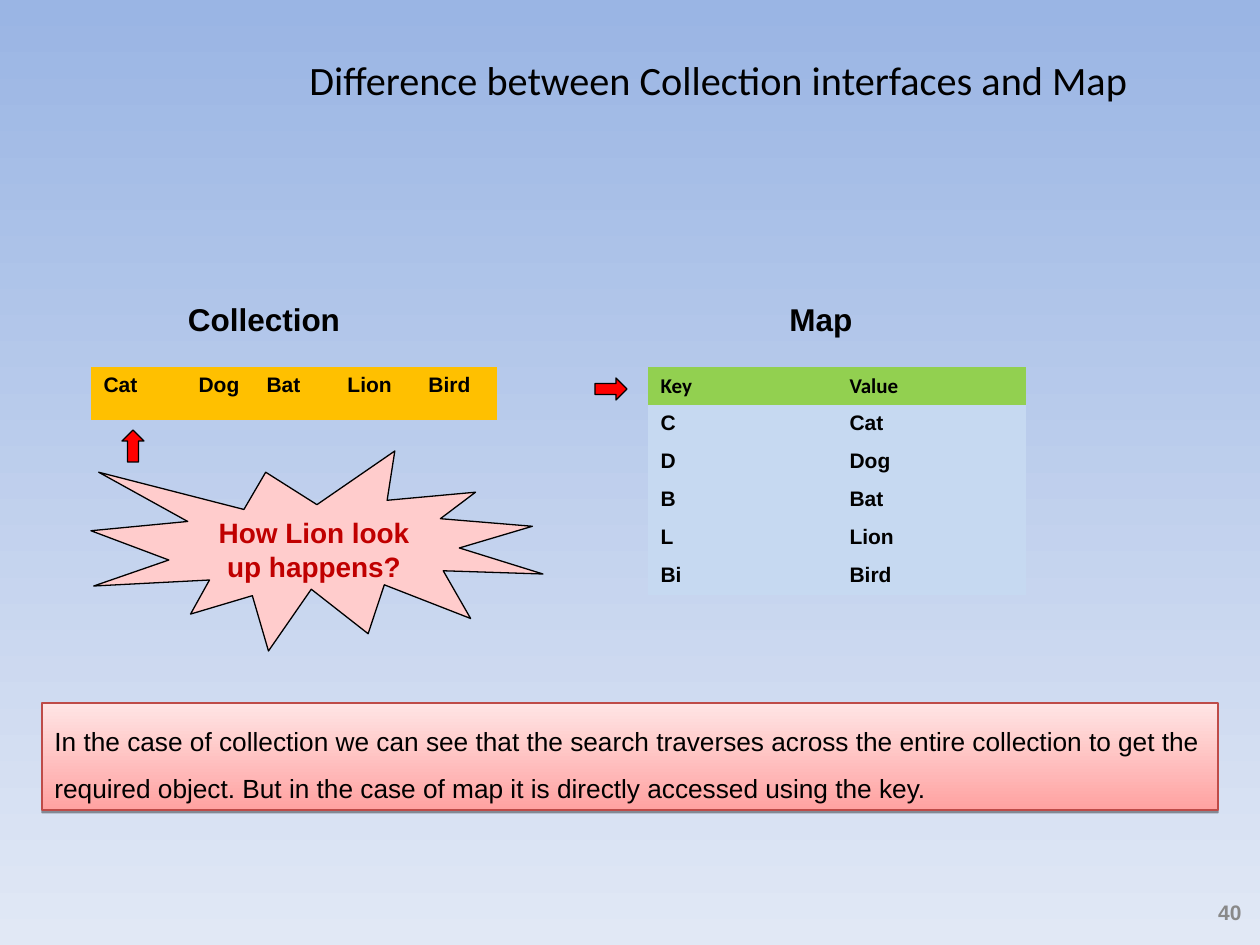
from dataclasses import dataclass

from lxml import etree
from pptx import Presentation
from pptx import util as u
from pptx.dml.color import RGBColor
from pptx.enum import shapes, text
from pptx.oxml import ns

KIND = shapes.MSO_SHAPE
ALIGN = text.PP_ALIGN
ANCHOR = text.MSO_ANCHOR
PX_PER_INCH = 126
PLAIN_TABLE = "{2D5ABB26-0587-4C30-8999-92F81FD0307C}"


def px(length):
    return u.Emu(round(length * u.Inches(1) / PX_PER_INCH))


def rgb(code):
    return RGBColor.from_string(code)


@dataclass(frozen=True)
class Theme:
    body_font: str = "Arial"
    title_font: str = "Calibri"
    ink: str = "000000"
    muted: str = "898989"
    question: str = "C00000"
    burst: str = "FFCCCC"
    arrow: str = "FF0000"
    collection: str = "FFC000"
    map_head: str = "92D050"
    map_body: str = "C6D9F1"
    note_line: str = "BE4B48"
    sky: tuple = ("9AB5E4", "E1E8F5")
    note: tuple = ("FFA2A1", "FFE5E5")
    title_size: int = 23
    heading_size: int = 18
    question_size: int = 16
    note_size: int = 15
    small_size: int = 12
    line_width: float = 0.75


class SlideBuilder:
    def __init__(self, slide, theme):
        self.slide = slide
        self.theme = theme

    def gradient(self, fill, colours, angle):
        """Blend two colours; the angle runs counter-clockwise."""
        fill.gradient()
        fill.gradient_angle = angle
        for stop, colour in zip(fill.gradient_stops, colours):
            stop.color.rgb = rgb(colour)

    def set_text(self, frame, words, size, colour=None, font=None, bold=True,
                 align=ALIGN.LEFT, anchor=ANCHOR.TOP, spacing=None):
        frame.word_wrap = True
        frame.vertical_anchor = anchor
        paragraph = frame.paragraphs[0]
        paragraph.alignment = align
        if spacing:
            paragraph.line_spacing = spacing
        run = paragraph.add_run()
        run.text = words
        run.font.size = u.Pt(size)
        run.font.name = font or self.theme.body_font
        run.font.bold = bold
        run.font.color.rgb = rgb(colour or self.theme.ink)

    def title(self, words, box):
        heading = self.slide.shapes.title
        heading.left, heading.top, heading.width, heading.height = map(px, box)
        self.set_text(heading.text_frame, words, self.theme.title_size,
                      font=self.theme.title_font, bold=False,
                      align=ALIGN.CENTER, anchor=ANCHOR.MIDDLE)

    def label(self, words, box, size, **style):
        frame = self.slide.shapes.add_textbox(*map(px, box)).text_frame
        self.set_text(frame, words, size, **style)

    def shape(self, kind, box, fill=None, line=None):
        outline = self.slide.shapes.add_shape(kind, *map(px, box))
        outline.shadow.inherit = False
        if fill:
            outline.fill.solid()
            outline.fill.fore_color.rgb = rgb(fill)
        outline.line.color.rgb = rgb(line or self.theme.ink)
        outline.line.width = u.Pt(self.theme.line_width)
        return outline

    def note(self, words, box):
        panel = self.shape(KIND.RECTANGLE, box, line=self.theme.note_line)
        self.gradient(panel.fill, self.theme.note, 90)
        effects = panel.element.spPr.find(ns.qn("a:effectLst"))
        shadow = etree.SubElement(effects, ns.qn("a:outerShdw"), blurRad="0",
                                  dist="20000", dir="5400000", rotWithShape="0")
        colour = etree.SubElement(shadow, ns.qn("a:srgbClr"), val=self.theme.ink)
        etree.SubElement(colour, ns.qn("a:alpha"), val="38000")
        self.set_text(panel.text_frame, words, self.theme.note_size,
                      bold=False, spacing=1.5)

    def table(self, rows, left, top, widths, row_height, fill,
              head_fill=None, head_font=None):
        frame = self.slide.shapes.add_table(
            len(rows), len(widths), px(left), px(top),
            px(sum(widths)), px(row_height * len(rows)))
        grid = frame.table
        grid.first_row = grid.horz_banding = False
        next(frame.element.iter(ns.qn("a:tableStyleId"))).text = PLAIN_TABLE
        for column, width in zip(grid.columns, widths):
            column.width = px(width)
        for r, row in enumerate(rows):
            grid.rows[r].height = px(row_height)
            is_head = r == 0 and head_fill
            for c, words in enumerate(row):
                cell = grid.cell(r, c)
                cell.fill.solid()
                cell.fill.fore_color.rgb = rgb(head_fill if is_head else fill)
                self.set_text(cell.text_frame, words, self.theme.small_size,
                              font=head_font if is_head else None)


def main():
    theme = Theme()
    deck = Presentation()
    deck.slide_width, deck.slide_height = px(1260), px(945)
    page = SlideBuilder(deck.slides.add_slide(deck.slide_layouts[5]), theme)
    page.gradient(page.slide.background.fill, theme.sky, 270)

    page.title("Difference between Collection interfaces and Map",
               (199, 0, 1040, 158))
    page.label("40", (1192, 890, 62, 44), theme.small_size, colour=theme.muted,
               align=ALIGN.RIGHT, anchor=ANCHOR.MIDDLE)
    for heading, left in (("Collection", 143), ("Map", 700)):
        page.label(heading, (left, 294, 242, 50), theme.heading_size,
                   align=ALIGN.CENTER)

    animals = {"C": "Cat", "D": "Dog", "B": "Bat", "L": "Lion", "Bi": "Bird"}
    page.table([list(animals.values())], 91, 367, [95, 68, 81, 81, 81], 53,
               theme.collection)
    page.table([("Key", "Value"), *animals.items()], 648, 367, [189, 189], 38,
               theme.map_body, theme.map_head, theme.title_font)

    burst = page.shape(KIND.EXPLOSION1, (91, 451, 452, 200), theme.burst)
    page.set_text(burst.text_frame, "How Lion look up happens?",
                  theme.question_size, colour=theme.question,
                  align=ALIGN.CENTER)
    page.shape(KIND.UP_ARROW, (122, 430, 22, 32), theme.arrow)
    page.shape(KIND.RIGHT_ARROW, (595, 378, 32, 22), theme.arrow)

    page.note("In the case of collection we can see that the search traverses "
              "across the entire collection to get the required object. But in "
              "the case of map it is directly accessed using the key.",
              (42, 703, 1176, 107))
    deck.save("out.pptx")


if __name__ == "__main__":
    main()
